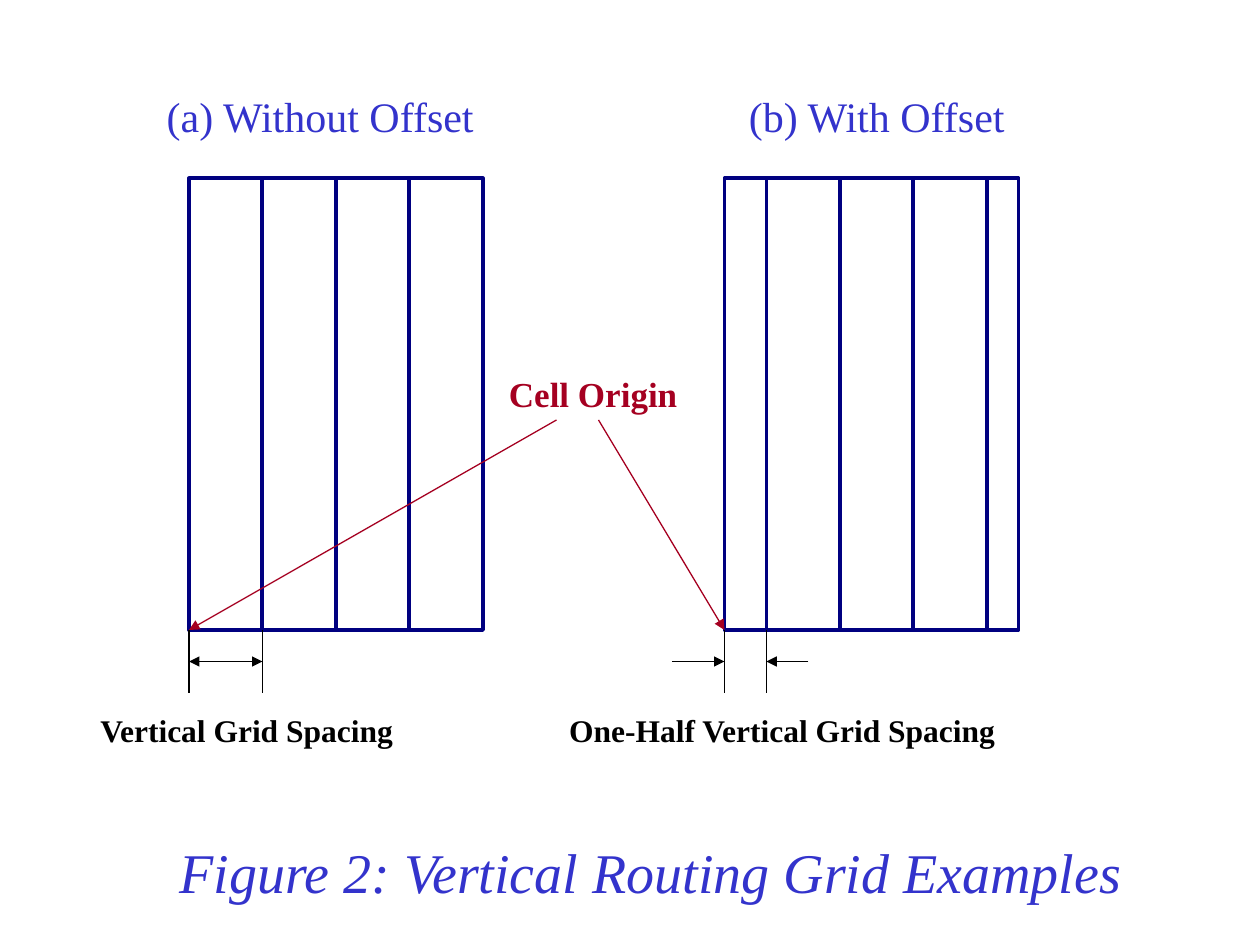
from lxml.etree import SubElement
from pptx import Presentation
from pptx.dml.color import RGBColor
from pptx.enum.shapes import MSO_CONNECTOR, MSO_SHAPE
from pptx.enum.text import MSO_ANCHOR, PP_ALIGN
from pptx.oxml.ns import qn
from pptx.util import Inches, Pt

BLUE = RGBColor(0x33, 0x33, 0xCC)
NAVY = RGBColor(0x00, 0x00, 0x80)
CRIMSON = RGBColor(0xA5, 0x00, 0x21)
BLACK = RGBColor(0x00, 0x00, 0x00)

deck = Presentation()
deck.slide_width, deck.slide_height = Inches(10), Inches(7.5)
page = deck.slides.add_slide(deck.slide_layouts[6])

# The page is a grid of 120 columns by 90 rows; all places count in its units.
UNIT = deck.slide_width // 120
CELL_TOP, CELL_HEIGHT = 17, 43
CELL_BOTTOM = CELL_TOP + CELL_HEIGHT
ARROW_ROW = CELL_BOTTOM + 3
TICK_END = CELL_BOTTOM + 6


def add_label(text, left, top, width, height, size, color, bold=False, italic=False):
    box = page.shapes.add_textbox(left * UNIT, top * UNIT, width * UNIT, height * UNIT)
    box.text_frame.word_wrap = True
    box.text_frame.vertical_anchor = MSO_ANCHOR.MIDDLE
    para = box.text_frame.paragraphs[0]
    para.text = text
    para.alignment = PP_ALIGN.CENTER
    font = para.font
    font.name, font.size, font.color.rgb = "Times New Roman", Pt(size), color
    font.bold, font.italic = bold, italic


def add_line(start, end, color=BLACK, arrows=()):
    """Draw a line; arrows names the ends (headEnd, tailEnd) that get a triangle."""
    line = page.shapes.add_connector(
        MSO_CONNECTOR.STRAIGHT, *(place * UNIT for place in (*start, *end)))
    line.line.color.rgb, line.line.width = color, Pt(0.75)
    for arrow in arrows:
        SubElement(line.line._get_or_add_ln(), qn(f"a:{arrow}"), type="triangle")
    SubElement(line._element.spPr, qn("a:effectLst"))


add_label("Figure 2: Vertical Routing Grid Examples", 11, 79, 102, 8, 32, BLUE, italic=True)

# Each cell: title, title left, cell left, column widths
cells = [
    ("(a) Without Offset", 8, 18, (7, 7, 7, 7)),
    ("(b) With Offset", 61, 69, (4, 7, 7, 7, 3)),
]
for title, title_left, cell_left, widths in cells:
    add_label(title, title_left, 7, 45, 8, 24, BLUE)
    left = cell_left
    for width in widths:
        column = page.shapes.add_shape(
            MSO_SHAPE.RECTANGLE, left * UNIT, CELL_TOP * UNIT, width * UNIT, CELL_HEIGHT * UNIT)
        column.shadow.inherit = False
        column.fill.background()
        column.line.color.rgb, column.line.width = NAVY, Pt(2.25)
        left += width
    for tick in (cell_left, cell_left + widths[0]):
        add_line((tick, CELL_BOTTOM), (tick, TICK_END))

add_line((18, ARROW_ROW), (25, ARROW_ROW), arrows=("headEnd", "tailEnd"))
add_line((64, ARROW_ROW), (69, ARROW_ROW), arrows=("tailEnd",))
add_line((77, ARROW_ROW), (73, ARROW_ROW), arrows=("tailEnd",))
add_label("Vertical Grid Spacing", 6, 67, 35, 5, 18, BLACK, bold=True)
add_label("One-Half Vertical Grid Spacing", 52, 67, 45, 5, 18, BLACK, bold=True)

add_label("Cell Origin", 39, 35, 35, 5, 20, CRIMSON, bold=True)
for start, origin in ((53, 18), (57, 69)):
    add_line((start, 40), (origin, CELL_BOTTOM), CRIMSON, ("tailEnd",))

deck.save("out.pptx")
